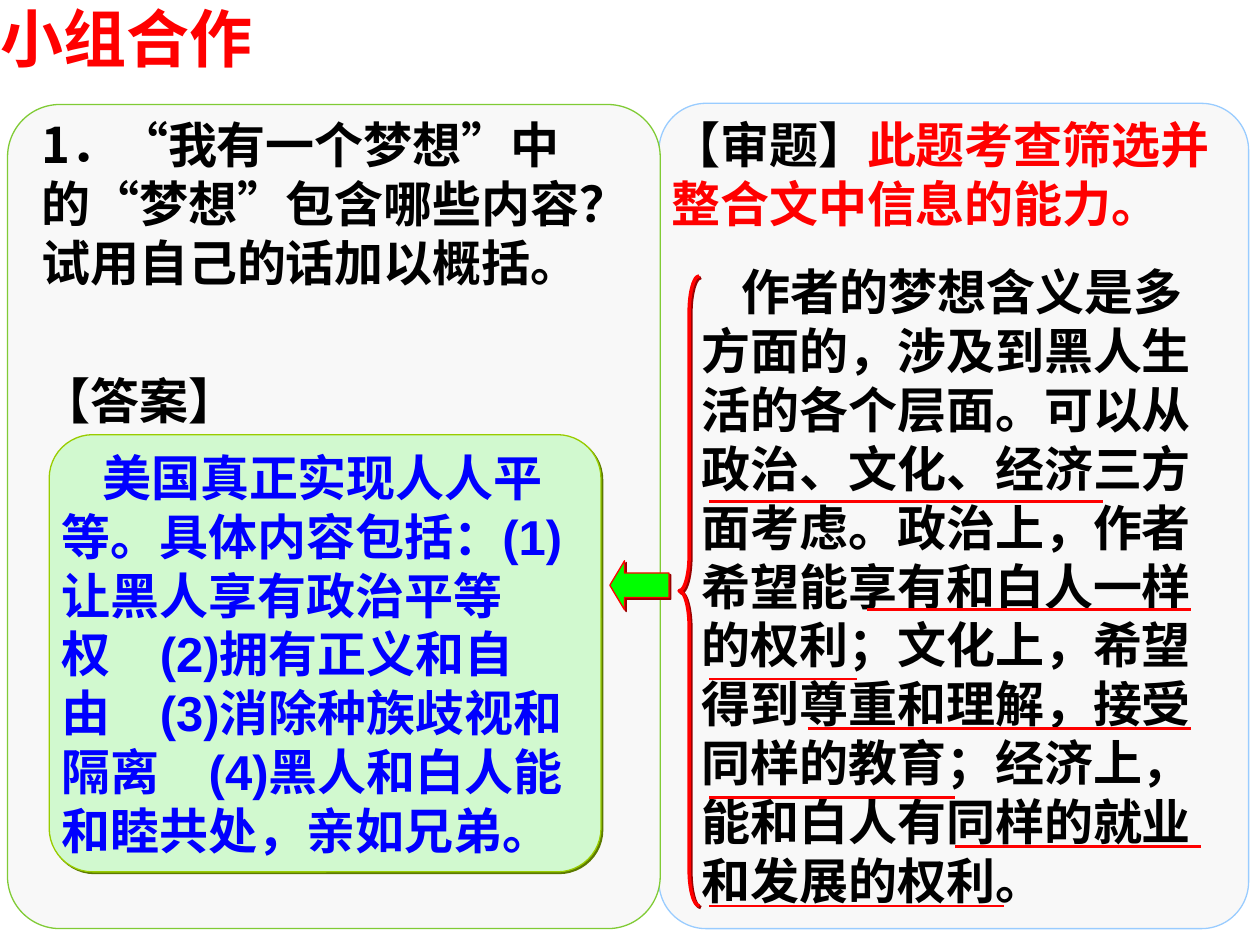
import pptx
import pptx.dml.color
import pptx.enum.shapes
import pptx.enum.text
import pptx.oxml
import pptx.oxml.ns
import pptx.util

SHAPE = pptx.enum.shapes.MSO_SHAPE
ANCHOR = pptx.enum.text.MSO_ANCHOR
A_NS = pptx.oxml.ns.nsdecls("a")
CJK = "Noto Sans CJK SC"
RED, BLACK, BLUE = "FF0000", "000000", "0000FF"

prs = pptx.Presentation()
prs.slide_width, prs.slide_height = pptx.util.Inches(10), pptx.util.Inches(7.5)
s = prs.slides.add_slide(prs.slide_layouts[6])
# The slide is a grid of 100 columns by 75 rows of square cells
CELL = prs.slide_width // 100


def rgb(color):
    return pptx.dml.color.RGBColor.from_string(color)


def write(sp, *runs, font=CJK, size=28, margins=(1, 0.5), indent=0,
          anchor=ANCHOR.TOP, shadow=None):
    """Fill a shape with one bold paragraph of (text, colour) runs."""
    tf = sp.text_frame
    tf.word_wrap = True
    tf.vertical_anchor = anchor
    tf.margin_left = tf.margin_right = int(margins[0] * CELL)
    tf.margin_top = tf.margin_bottom = int(margins[1] * CELL)
    p = tf.paragraphs[0]
    p.alignment = pptx.enum.text.PP_ALIGN.LEFT
    p._p.get_or_add_pPr().set("indent", str(int(indent * CELL)))
    for text, color in runs:
        r = p.add_run()
        r.text = text
        r.font.size, r.font.bold = pptx.util.Pt(size), True
        r.font.color.rgb = rgb(color)
        if shadow:
            r._r.rPr.append(pptx.oxml.parse_xml(SHADOW.format(shadow)))
        r.font.name = font
        r._r.rPr.append(pptx.oxml.parse_xml(f'<a:ea {A_NS} typeface="{CJK}"/>'))


SHADOW = (f'<a:effectLst {A_NS}><a:outerShdw dist="17780" dir="2700000" algn="ctr">'
          '<a:srgbClr val="{}"/></a:outerShdw></a:effectLst>')

# Panels, answer card, brace and arrow:
# kind, grid box, adjustments, fill, line colour, line width, shadow
shapes = [
    (SHAPE.ROUNDED_RECTANGLE, (52.3, 8.2, 46.8, 65.5), [0.08], "F8F8F8", "99CCFF", 0.75, None),
    (SHAPE.ROUNDED_RECTANGLE, (0.6, 8.3, 51.8, 65.4), [0.08], "F8F8F8", "80CB35", 0.75, None),
    (SHAPE.ROUNDED_RECTANGLE, (3.9, 34.5, 43.8, 34.7), [0.1], "D1F9CF", "99CC00", 0.75, "5C7A00"),
    (SHAPE.LEFT_BRACE, (53.9, 21.9, 1.6, 50), [1.8, 0.5], None, RED, 2, "990000"),
    (SHAPE.LEFT_ARROW, (48.4, 44.5, 4.7, 3.9), [0.5, 0.3], "00FF00", RED, 0.75, "990000"),
]
drawn = []
for kind, box, adjustments, fill, line, width, shadow in shapes:
    sp = s.shapes.add_shape(kind, *(int(v * CELL) for v in box))
    for i, value in enumerate(adjustments):
        sp.adjustments[i] = value
    if fill:
        sp.fill.solid()
        sp.fill.fore_color.rgb = rgb(fill)
    else:
        sp.fill.background()
    sp.line.color.rgb = rgb(line)
    sp.line.width = pptx.util.Pt(width)
    if shadow:
        sp._element.spPr.append(pptx.oxml.parse_xml(SHADOW.format(shadow)))
    else:
        sp.shadow.inherit = False
    drawn.append(sp)

card = drawn[2]
write(card, ("美国真正实现人人平等。具体内容包括：(1)让黑人享有政治平等权　(2)拥有正义和自由　"
             "(3)消除种族歧视和隔离　(4)黑人和白人能和睦共处，亲如兄弟。", BLUE),
      font="Arial", margins=(0, 0), indent=3.2, anchor=ANCHOR.MIDDLE)

# Text boxes: grid box, runs, format
texts = [
    ((0, 0, 33.5, 6), [("小组合作", RED)],
     dict(font="Arial", size=36, margins=(0, 0), shadow="808080")),
    ((2.3, 8.6, 48.4, 15),
     [("1．“我有一个梦想”中的“梦想”包含哪些内容？试用自己的话加以概括。", BLACK)], {}),
    ((2.3, 28.9, 19.5, 5.7), [("【答案】", BLACK)], dict(shadow="808080")),
    ((52.3, 8.6, 46.1, 10.4),
     [("【审题】", BLACK), ("此题考查筛选并整合文中信息的能力。", RED)], {}),
    ((54.7, 20.3, 42.2, 52.4),
     [("作者的梦想含义是多方面的，涉及到黑人生活的各个层面。可以从政治、文化、经济三方面考虑。"
       "政治上，作者希望能享有和白人一样的权利；文化上，希望得到尊重和理解，接受同样的教育；"
       "经济上，能和白人有同样的就业和发展的权利。", BLACK)],
     dict(font="Arial", indent=3.2)),
]
for box, runs, style in texts:
    write(s.shapes.add_textbox(*(int(v * CELL) for v in box)), *runs, **style)

# Red underlines beneath the key phrases: left, right, row
underlines = [(56.3, 87.5, 39.8), (68.8, 94.5, 48.4), (56.3, 68, 53.9), (64.1, 94.5, 57.8),
              (56.3, 75.8, 63.3), (75.8, 95.3, 67.2), (56.3, 79.7, 71.9)]
for left, right, row in underlines:
    line = s.shapes.add_connector(pptx.enum.shapes.MSO_CONNECTOR.STRAIGHT,
                                  *(int(v * CELL) for v in (left, row, right, row)))
    line.line.color.rgb = rgb(RED)
    line.line.width = pptx.util.Pt(1.5)
    line._element.spPr.append(pptx.oxml.parse_xml(f"<a:effectLst {A_NS}/>"))

prs.save("out.pptx")
